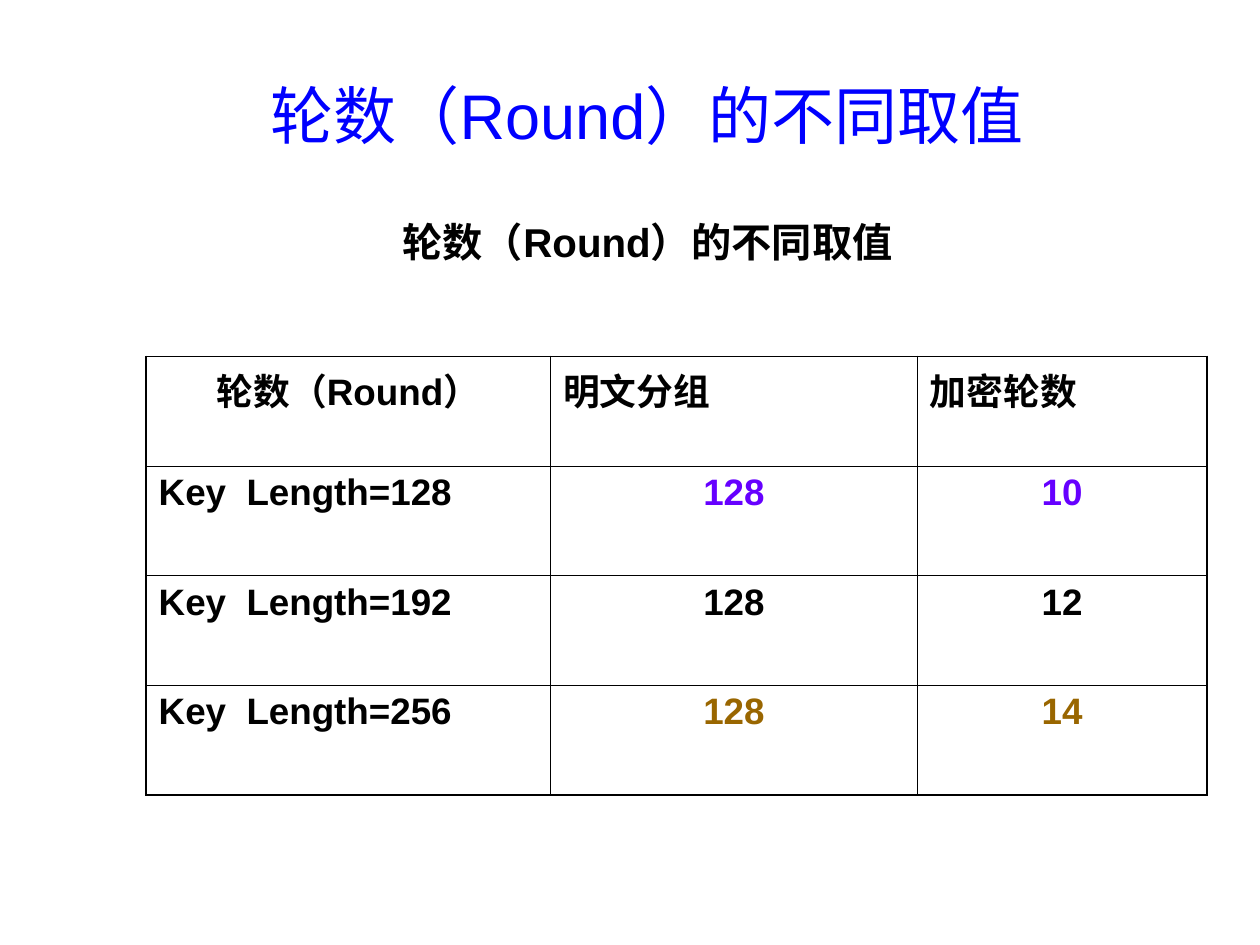
from typing import NamedTuple

from lxml import etree
from pptx import Presentation
from pptx.dml.color import RGBColor
from pptx.enum import text
from pptx.oxml import ns
from pptx.util import Inches, Pt

BLACK, BLUE, VIOLET, BROWN = "000000", "0000FF", "6600FF", "996600"
LEFT, CENTER = text.PP_ALIGN.LEFT, text.PP_ALIGN.CENTER
HEADING = "轮数（Round）的不同取值"
THIN, THICK = Pt(0.45), Pt(1.08)


class Entry(NamedTuple):
    wording: str
    align: text.PP_ALIGN = LEFT
    color: str = BLACK


class KeyRow(NamedTuple):
    key_length: int
    block_size: int
    rounds: int
    color: str


HEADERS = [Entry("轮数（Round）", CENTER), Entry("明文分组"), Entry("加密轮数")]
KEY_ROWS = [
    KeyRow(128, 128, 10, VIOLET),
    KeyRow(192, 128, 12, BLACK),
    KeyRow(256, 128, 14, BROWN),
]
COLUMN_WIDTHS = [3.21, 2.91, 2.3]
ROW_HEIGHT = 0.87


def rgb(color: str) -> RGBColor:
    return RGBColor.from_string(color)


def write(frame, entry: Entry, size: float, bold: bool) -> None:
    frame.text = entry.wording
    paragraph = frame.paragraphs[0]
    paragraph.alignment = entry.align
    for run in paragraph.runs:
        run.font.name = "Arial"
        run.font.size = Pt(size)
        run.font.bold = bold
        run.font.color.rgb = rgb(entry.color)


def add_heading(slide, left: float, top: float, width: float, height: float,
                color: str, size: float, bold: bool) -> None:
    box = slide.shapes.add_textbox(
        Inches(left), Inches(top), Inches(width), Inches(height))
    frame = box.text_frame
    frame.word_wrap = True
    frame.vertical_anchor = text.MSO_ANCHOR.MIDDLE
    write(frame, Entry(HEADING, CENTER, color), size, bold)


def set_borders(cell, widths: dict[str, int]) -> None:
    """Draw the sides in widths, which must run in the order L, R, T, B."""
    properties = cell._tc.get_or_add_tcPr()
    for position, (side, width) in enumerate(widths.items()):
        line = etree.Element(ns.qn(f"a:ln{side}"), w=str(int(width)))
        fill = etree.SubElement(line, ns.qn("a:solidFill"))
        etree.SubElement(fill, ns.qn("a:srgbClr"), val=BLACK)
        properties.insert(position, line)


def add_rounds_table(slide, left: float, top: float) -> None:
    rows = [HEADERS] + [
        [Entry(f"Key  Length={row.key_length}"),
         Entry(str(row.block_size), CENTER, row.color),
         Entry(str(row.rounds), CENTER, row.color)]
        for row in KEY_ROWS
    ]
    last_row, last_column = len(rows) - 1, len(COLUMN_WIDTHS) - 1
    table = slide.shapes.add_table(
        len(rows), len(COLUMN_WIDTHS), Inches(left), Inches(top),
        Inches(sum(COLUMN_WIDTHS)), Inches(ROW_HEIGHT * len(rows))).table
    table.first_row = table.horz_banding = False
    for column, width in zip(table.columns, COLUMN_WIDTHS):
        column.width = Inches(width)

    for r, entries in enumerate(rows):
        for c, entry in enumerate(entries):
            cell = table.cell(r, c)
            cell.fill.background()
            write(cell.text_frame, entry, 21, bold=True)
            set_borders(cell, {
                "L": THICK if c == 0 else THIN,
                "R": THICK if c == last_column else THIN,
                "T": THICK if r == 0 else THIN,
                "B": THICK if r == last_row else THIN,
            })


def main() -> None:
    deck = Presentation()
    deck.slide_width, deck.slide_height = Inches(10), Inches(7.5)
    slide = deck.slides.add_slide(deck.slide_layouts[6])
    add_heading(slide, 2.5, 1.67, 5.28, 0.49, BLACK, 23, bold=True)
    add_rounds_table(slide, 1.16, 2.83)
    add_heading(slide, 1.93, 0.57, 6.41, 0.67, BLUE, 36, bold=False)
    deck.save("out.pptx")


if __name__ == "__main__":
    main()
